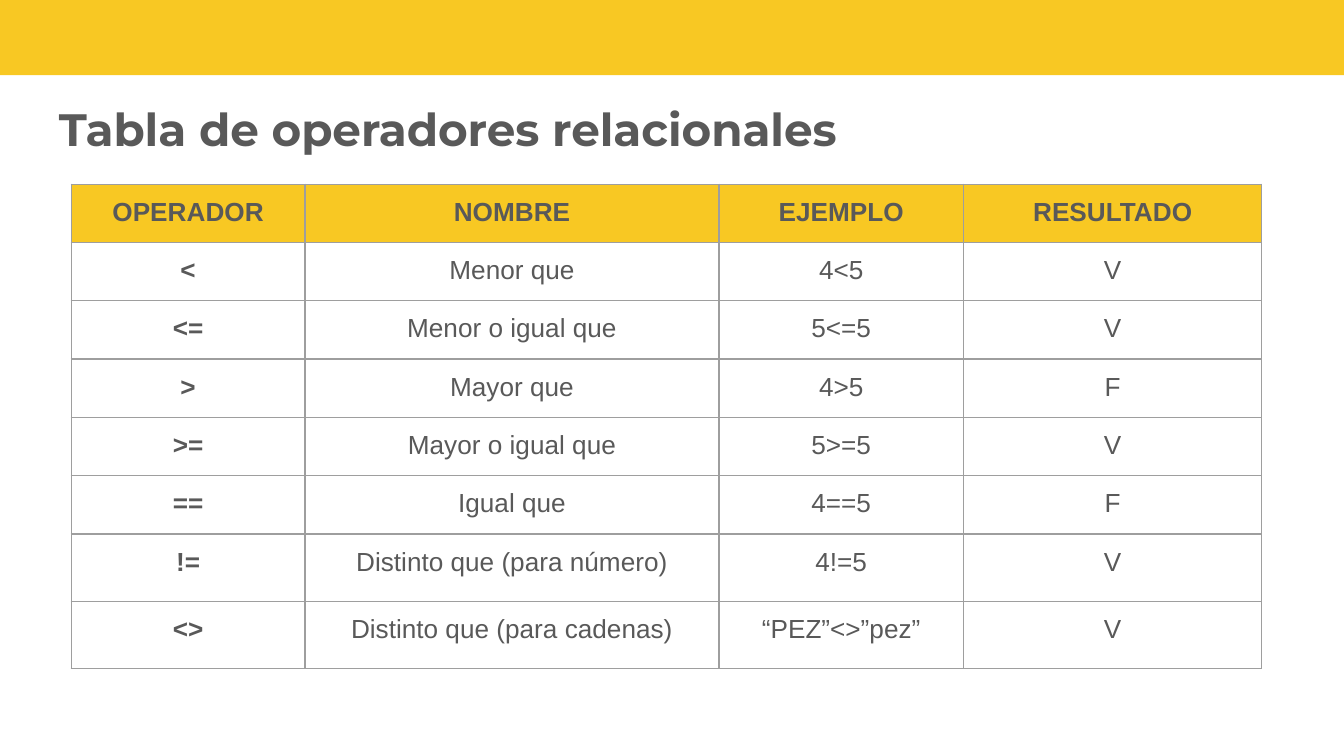
from dataclasses import dataclass

from lxml import etree
from pptx import Presentation
from pptx.dml.color import RGBColor
from pptx.enum.shapes import MSO_SHAPE
from pptx.enum.text import MSO_ANCHOR, PP_ALIGN
from pptx.oxml.ns import qn
from pptx.util import Inches, Pt


@dataclass(frozen=True)
class Theme:
    accent: str = "F8C823"
    text: str = "595959"
    border: str = "9E9E9E"
    border_width: float = 0.75
    title_font: str = "Montserrat"
    body_font: str = "Arial"
    title_size: float = 24.3
    body_size: float = 14
    inset: float = 0.1


HEADERS = ["OPERADOR", "NOMBRE", "EJEMPLO", "RESULTADO"]
OPERATORS = [
    ["<", "Menor que", "4<5", "V"],
    ["<=", "Menor o igual que", "5<=5", "V"],
    [">", "Mayor que", "4>5", "F"],
    [">=", "Mayor o igual que", "5>=5", "V"],
    ["==", "Igual que", "4==5", "F"],
    ["!=", "Distinto que (para número)", "4!=5", "V"],
    ["<>", "Distinto que (para cadenas)", "“PEZ”<>”pez”", "V"],
]
COL_WIDTHS = [1.74, 3.08, 1.82, 2.22]
ROW_HEIGHTS = [0.39] * 6 + [0.5] * 2
FRAME_SIZE = 3.28


def write_text(tf, text, *, font, size, color, bold=False, align=PP_ALIGN.LEFT):
    p = tf.paragraphs[0]
    p.alignment = align
    r = p.add_run()
    r.text = text
    r.font.name = font
    r.font.size = Pt(size)
    r.font.bold = bold
    r.font.color.rgb = RGBColor.from_string(color)


class SlideBuilder:
    def __init__(self, slide, theme):
        self.slide = slide
        self.theme = theme

    def set_margins(self, target):
        inset = Inches(self.theme.inset)
        target.margin_left = target.margin_right = inset
        target.margin_top = target.margin_bottom = inset

    def band(self, x, y, w, h):
        sp = self.slide.shapes.add_shape(
            MSO_SHAPE.RECTANGLE, Inches(x), Inches(y), Inches(w), Inches(h))
        sp.shadow.inherit = False
        sp.fill.solid()
        sp.fill.fore_color.rgb = RGBColor.from_string(self.theme.accent)
        sp.line.fill.background()

    def title(self, text, x, y, w, h):
        sp = self.slide.shapes.add_textbox(Inches(x), Inches(y), Inches(w), Inches(h))
        tf = sp.text_frame
        tf.word_wrap = True
        self.set_margins(tf)
        write_text(tf, text, font=self.theme.title_font, size=self.theme.title_size,
                   color=self.theme.text, bold=True)

    def cell_borders(self, cell):
        tc_pr = cell._tc.get_or_add_tcPr()
        for i, side in enumerate(("a:lnL", "a:lnR", "a:lnT", "a:lnB")):
            ln = etree.Element(qn(side), w=str(Pt(self.theme.border_width)))
            fill = etree.SubElement(ln, qn("a:solidFill"))
            etree.SubElement(fill, qn("a:srgbClr"), val=self.theme.border)
            tc_pr.insert(i, ln)

    def cell(self, cell, text, header, bold):
        self.set_margins(cell)
        cell.vertical_anchor = MSO_ANCHOR.TOP
        if header:
            cell.fill.solid()
            cell.fill.fore_color.rgb = RGBColor.from_string(self.theme.accent)
        else:
            cell.fill.background()
        self.cell_borders(cell)
        write_text(cell.text_frame, text, font=self.theme.body_font,
                   size=self.theme.body_size, color=self.theme.text,
                   bold=bold, align=PP_ALIGN.CENTER)

    def table(self, rows, x, y, col_widths, row_heights, frame_size):
        size = Inches(frame_size)
        frame = self.slide.shapes.add_table(
            len(rows), len(col_widths), Inches(x), Inches(y), size, size)
        table = frame.table
        table.horz_banding = False
        for col, width in zip(table.columns, col_widths):
            col.width = Inches(width)
        for row, height in zip(table.rows, row_heights):
            row.height = Inches(height)
        frame.width = frame.height = size
        for i, row in enumerate(rows):
            for j, text in enumerate(row):
                self.cell(table.cell(i, j), text, header=i == 0, bold=i == 0 or j == 0)


def main():
    prs = Presentation()
    prs.slide_width = Inches(10)
    prs.slide_height = prs.slide_width * 9 // 16
    s = SlideBuilder(prs.slides.add_slide(prs.slide_layouts[6]), Theme())
    s.band(-0.01, -0.05, 10.03, 0.61)
    s.title("Tabla de operadores relacionales", 0.34, 0.65, 9.3, 0.63)
    s.table([HEADERS] + OPERATORS, 0.53, 1.37, COL_WIDTHS, ROW_HEIGHTS, FRAME_SIZE)
    prs.save("out.pptx")


if __name__ == "__main__":
    main()
